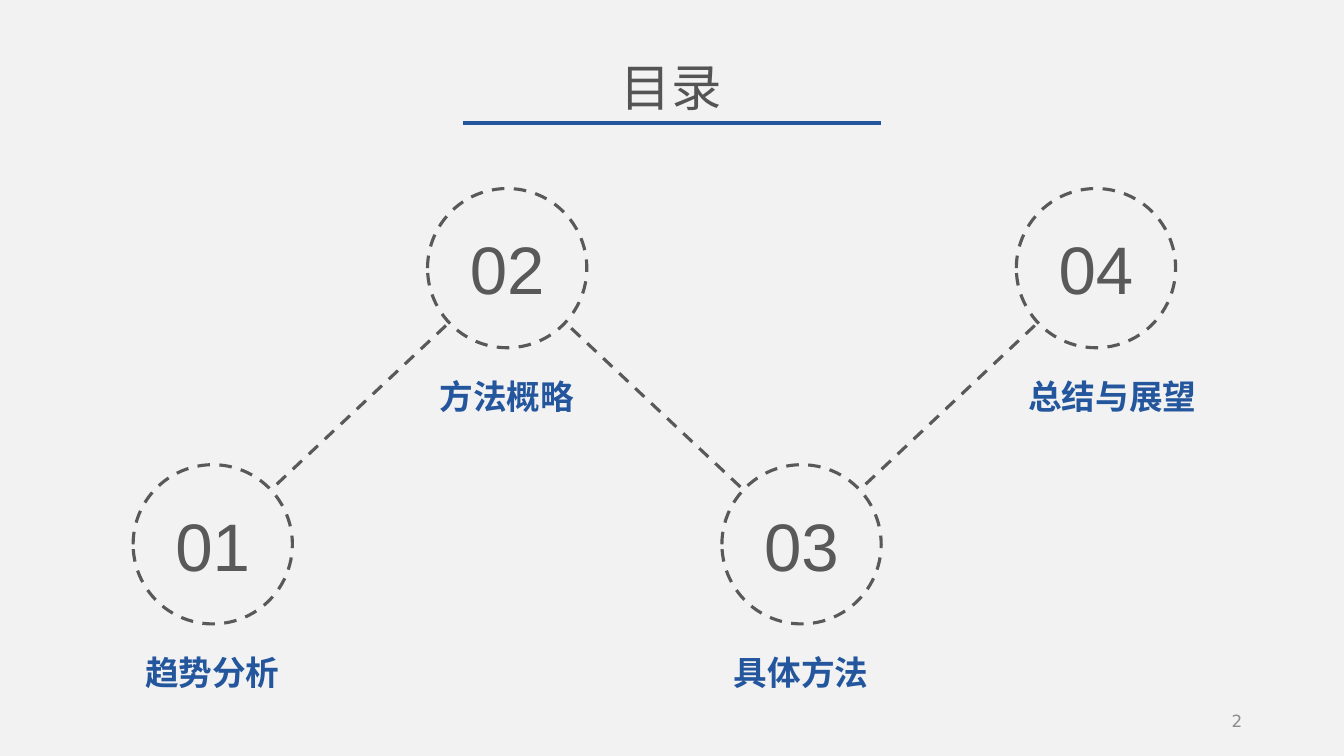
from dataclasses import dataclass

from lxml import etree
from pptx import Presentation
from pptx.dml.color import RGBColor
from pptx.enum.dml import MSO_LINE
from pptx.enum.shapes import MSO_CONNECTOR, MSO_SHAPE
from pptx.enum.text import MSO_ANCHOR, MSO_AUTO_SIZE, PP_ALIGN
from pptx.oxml.ns import qn
from pptx.util import Inches, Pt

DASH = MSO_LINE.DASH
STRAIGHT = MSO_CONNECTOR.STRAIGHT
OVAL = MSO_SHAPE.OVAL
MIDDLE, TOP = MSO_ANCHOR.MIDDLE, MSO_ANCHOR.TOP
LEFT, CENTER, RIGHT = PP_ALIGN.LEFT, PP_ALIGN.CENTER, PP_ALIGN.RIGHT
GROW = MSO_AUTO_SIZE.SHAPE_TO_FIT_TEXT

TITLE = "目录"
PAGE_NUMBER = "2"
# number, topic, width of the topic label
CHAPTERS = [
    ("01", "趋势分析", 1.55),
    ("02", "方法概略", 1.55),
    ("03", "具体方法", 1.55),
    ("04", "总结与展望", 1.88),
]


@dataclass(frozen=True)
class Theme:
    background: str = "F2F2F2"
    accent: str = "24569D"
    title: str = "545454"
    outline: str = "595959"
    footer: str = "8C8C8C"
    title_font: str = "Noto Sans CJK SC"
    number_font: str = "Arial"
    body_font: str = "DejaVu Sans"
    title_size: int = 36
    number_size: int = 48
    label_size: int = 24
    footer_size: int = 12
    rule_width: float = 3.5
    dash_width: float = 2.25


THEME = Theme()

CIRCLE = 1.58
FIRST_LEFT, STEP = 1.32, 2.92
LOW_TOP, HIGH_TOP = 4.61, 1.87
LABEL_DROP, LABEL_SHIFT, LABEL_HEIGHT = 1.81, 0.02, 0.5


def write(shape, text, font, size, color, bold=False, align=LEFT, anchor=TOP):
    frame = shape.text_frame
    frame.text = text
    frame.vertical_anchor = anchor
    paragraph = frame.paragraphs[0]
    paragraph.alignment = align
    run = paragraph.runs[0]
    run.font.size = Pt(size)
    run.font.bold = bold
    run.font.color.rgb = RGBColor.from_string(color)
    run.font.name = font
    east_asian = etree.SubElement(run.font._element, qn("a:ea"))
    east_asian.set("typeface", font)


def add_label(slide, left, top, width, height, text, *style, **options):
    """Add a one-line text box that fits its text."""
    box = slide.shapes.add_textbox(
        Inches(left), Inches(top), Inches(width), Inches(height))
    write(box, text, *style, **options)
    box.text_frame.word_wrap = False
    box.text_frame.auto_size = GROW


def style_line(line, color, width, dash=None):
    line.color.rgb = RGBColor.from_string(color)
    line.width = Pt(width)
    if dash:
        line.dash_style = dash


def add_line(slide, start, end, *style):
    ends = [Inches(value) for value in (*start, *end)]
    connector = slide.shapes.add_connector(STRAIGHT, *ends)
    style_line(connector.line, *style)
    properties = connector._element.find(qn("p:spPr"))
    etree.SubElement(properties, qn("a:effectLst"))


def add_circle(slide, left, top, number):
    circle = slide.shapes.add_shape(
        OVAL, Inches(left), Inches(top), Inches(CIRCLE), Inches(CIRCLE))
    circle.shadow.inherit = False
    circle.fill.solid()
    circle.fill.fore_color.rgb = RGBColor.from_string(THEME.background)
    style_line(circle.line, THEME.outline, THEME.dash_width, DASH)
    write(circle, number, THEME.number_font, THEME.number_size,
          THEME.outline, align=CENTER, anchor=MIDDLE)


def add_chapters(slide):
    """Draw the zigzag path, then the circles and labels over it."""
    corners = [(FIRST_LEFT + i * STEP, HIGH_TOP if i % 2 else LOW_TOP)
               for i in range(len(CHAPTERS))]
    centers = [(left + CIRCLE / 2, top + CIRCLE / 2) for left, top in corners]
    for start, end in zip(centers, centers[1:]):
        add_line(slide, start, end, THEME.outline, THEME.dash_width, DASH)
    for (left, top), (number, topic, width) in zip(corners, CHAPTERS):
        add_circle(slide, left, top, number)
        add_label(slide, left + LABEL_SHIFT, top + LABEL_DROP, width,
                  LABEL_HEIGHT, topic, THEME.body_font, THEME.label_size,
                  THEME.accent, bold=True)


def add_page_number(slide):
    box = slide.shapes.add_textbox(
        Inches(9.42), Inches(6.95), Inches(3), Inches(0.4))
    box.text_frame.word_wrap = True
    write(box, PAGE_NUMBER, THEME.body_font, THEME.footer_size,
          THEME.footer, align=RIGHT, anchor=MIDDLE)


def main():
    deck = Presentation()
    deck.slide_width, deck.slide_height = Inches(13.33), Inches(7.5)
    slide = deck.slides.add_slide(deck.slide_layouts[6])
    slide.background.fill.solid()
    slide.background.fill.fore_color.rgb = RGBColor.from_string(
        THEME.background)
    add_label(slide, 6.06, 0.51, 1.21, 0.71, TITLE, THEME.title_font,
              THEME.title_size, THEME.title)
    add_line(slide, (4.59, 1.22), (8.74, 1.22), THEME.accent,
             THEME.rule_width)
    add_chapters(slide)
    add_page_number(slide)
    deck.save("out.pptx")


if __name__ == "__main__":
    main()
